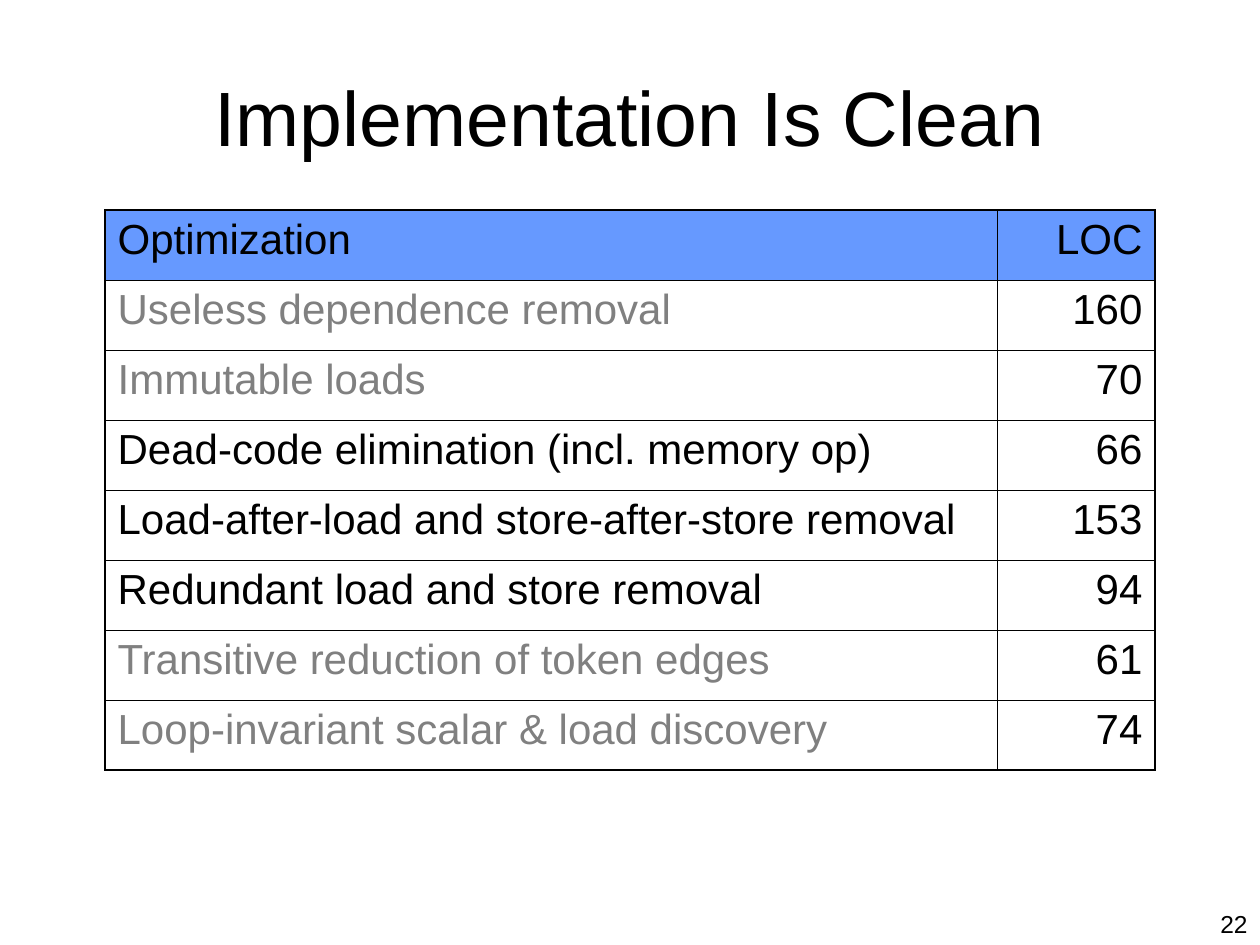
from dataclasses import dataclass

from lxml import etree
from pptx import Presentation
from pptx import util as u
from pptx.dml.color import RGBColor
from pptx.enum import text
from pptx.oxml import ns


@dataclass(frozen=True)
class Theme:
    font: str = "Arial"
    ink: str = "000000"
    dim: str = "808080"
    head: str = "6699FF"
    title: float = 44
    body: float = 24
    small: float = 14
    thick: float = 1.08
    thin: float = 0.45


class Deck:
    """Holds the theme and the current slide, and draws elements on it."""

    def __init__(self, theme, slide):
        self.theme = theme
        self.slide = slide

    def style(self, frame, words, size, align, color):
        frame.text = words
        para = frame.paragraphs[0]
        para.alignment = align
        font = para.runs[0].font
        font.name = self.theme.font
        font.size = u.Pt(size)
        font.color.rgb = RGBColor.from_string(color)

    def label(self, words, box, size, align, anchor):
        frame = self.slide.shapes.add_textbox(*map(u.Pt, box)).text_frame
        frame.word_wrap = True
        frame.vertical_anchor = anchor
        self.style(frame, words, size, align, self.theme.ink)

    def border(self, cell, sides):
        props = cell._tc.get_or_add_tcPr()
        for side, width in sides.items():
            line = etree.SubElement(props, ns.qn(f"a:ln{side}"), w=str(u.Pt(width)))
            fill = etree.SubElement(line, ns.qn("a:solidFill"))
            etree.SubElement(fill, ns.qn("a:srgbClr"), val=self.theme.ink)

    def table(self, rows, left, top, widths, height):
        look = self.theme
        box = left, top, sum(widths), height * len(rows)
        grid = self.slide.shapes.add_table(
            len(rows), len(widths), *map(u.Pt, box)).table
        grid.first_row = grid.horz_banding = False
        for col, width in zip(grid.columns, widths):
            col.width = u.Pt(width)
        last = len(rows) - 1
        end = len(widths) - 1
        for i, (name, count, tone) in enumerate(rows):
            grid.rows[i].height = u.Pt(height)
            for j, words in enumerate((name, count)):
                cell = grid.cell(i, j)
                edges = {"L": j == 0, "R": j == end, "T": i == 0, "B": i == last}
                self.border(cell, {side: look.thick if edge else look.thin
                                   for side, edge in edges.items()})
                if i == 0:
                    cell.fill.solid()
                    cell.fill.fore_color.rgb = RGBColor.from_string(look.head)
                else:
                    cell.fill.background()
                align = text.PP_ALIGN.RIGHT if j else text.PP_ALIGN.LEFT
                self.style(cell.text_frame, words, look.body, align,
                           look.ink if j else tone)


def main():
    show = Presentation()
    show.slide_width, show.slide_height = u.Pt(720), u.Pt(540)
    look = Theme()
    deck = Deck(look, show.slides.add_slide(show.slide_layouts[6]))
    deck.label("Implementation Is Clean", (54, 48, 612, 36), look.title,
               text.PP_ALIGN.CENTER, text.MSO_ANCHOR.MIDDLE)
    rows = [
        ("Optimization", "LOC", look.ink),
        ("Useless dependence removal", "160", look.dim),
        ("Immutable loads", "70", look.dim),
        ("Dead-code elimination (incl. memory op)", "66", look.ink),
        ("Load-after-load and store-after-store removal", "153", look.ink),
        ("Redundant load and store removal", "94", look.ink),
        ("Transitive reduction of token edges", "61", look.dim),
        ("Loop-invariant scalar & load discovery", "74", look.dim),
    ]
    deck.table(rows, 60, 120, (510, 90), 40)
    deck.label("22", (672, 516, 48, 24), look.small,
               text.PP_ALIGN.RIGHT, text.MSO_ANCHOR.TOP)
    show.save("out.pptx")


if __name__ == "__main__":
    main()
